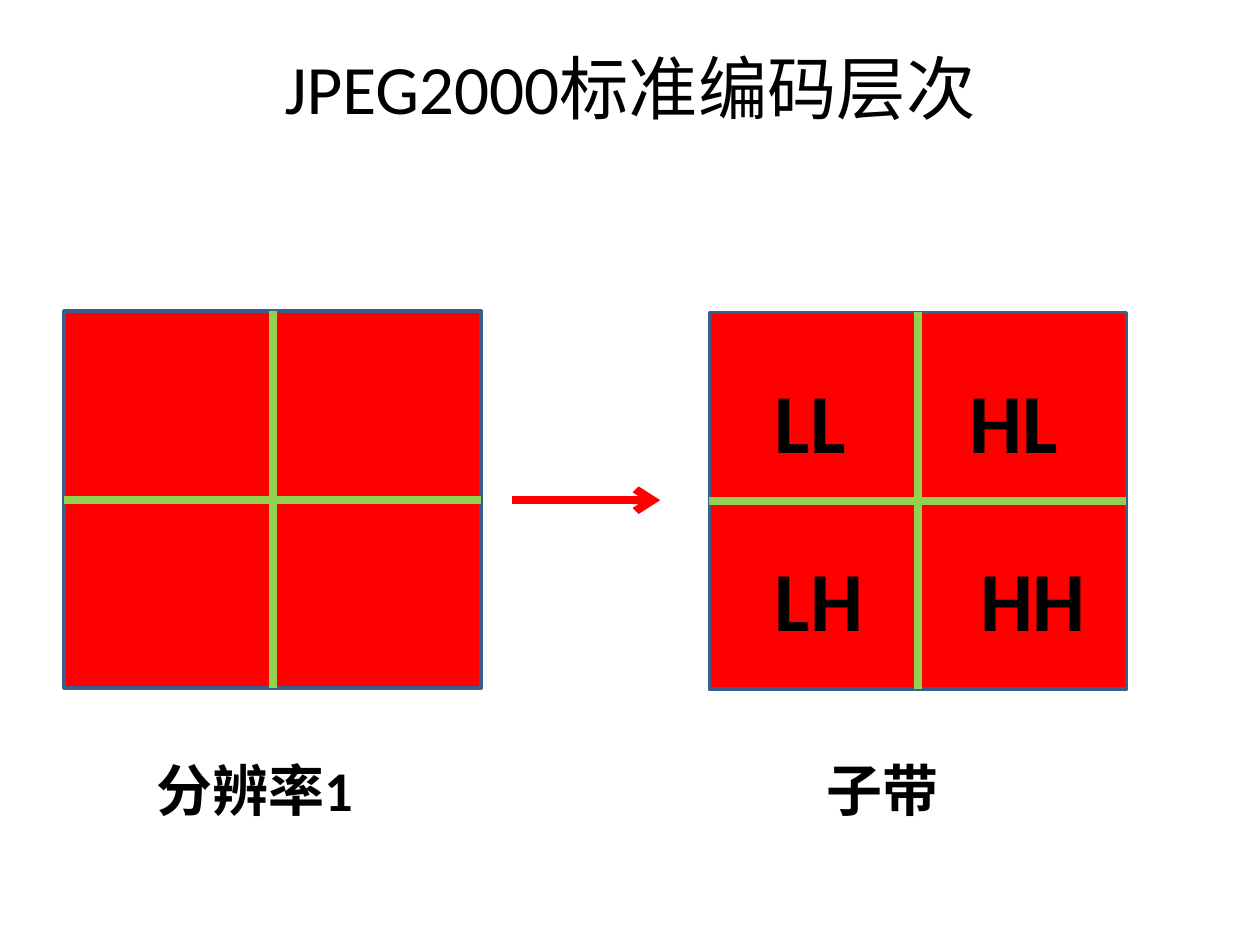
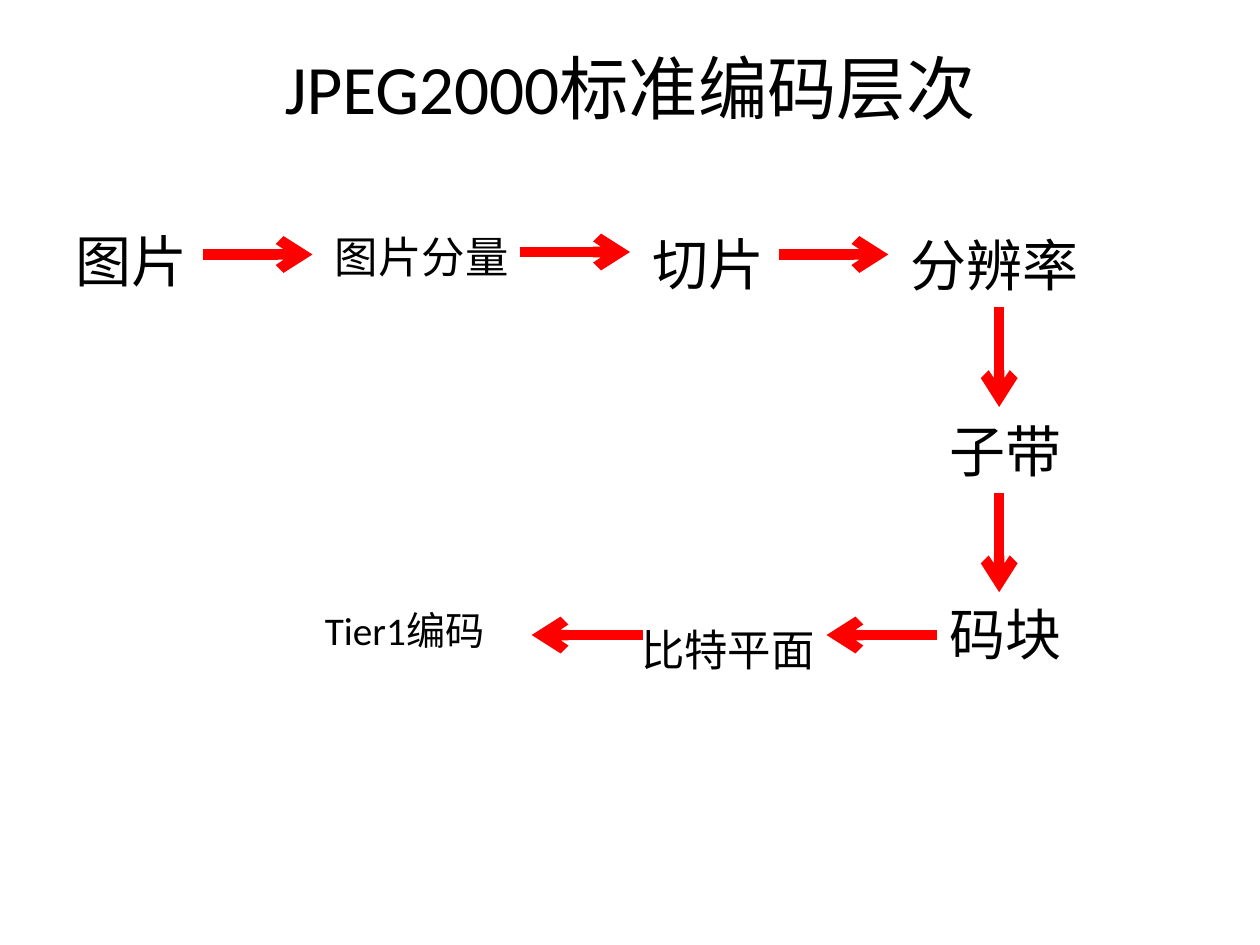
from lxml import etree
from pptx import Presentation
from pptx.dml.color import RGBColor
from pptx.enum.shapes import MSO_CONNECTOR, MSO_SHAPE
from pptx.enum.text import MSO_ANCHOR, PP_ALIGN
from pptx.oxml.ns import qn
from pptx.util import Inches, Pt

STRAIGHT = MSO_CONNECTOR.STRAIGHT
RECT = MSO_SHAPE.RECTANGLE
MIDDLE = MSO_ANCHOR.MIDDLE
CENTER = PP_ALIGN.CENTER
RED, GREEN, BLUE, BLACK = (
    RGBColor.from_string(c) for c in ("FF0000", "92D050", "3A5F8C", "000000"))
TITLE = "JPEG2000标准编码层次"


def add_line(slide, ends, color, width, arrow=False):
    line = slide.shapes.add_connector(STRAIGHT, *(Inches(v) for v in ends))
    line.line.color.rgb = color
    line.line.width = Pt(width)
    if arrow:
        etree.SubElement(line.line._get_or_add_ln(), qn("a:tailEnd"), type="arrow")
    etree.SubElement(line._element.spPr, qn("a:effectLst"))
    return line


def write(shape, area, text, size, bold=False):
    """Place a shape and fill it with one line of text."""
    for name, value in zip(("left", "top", "width", "height"), area):
        setattr(shape, name, Inches(value))
    shape.text_frame.word_wrap = True
    shape.text_frame.text = text
    font = shape.text_frame.paragraphs[0].font
    style = {"name": "Calibri", "size": Pt(size), "bold": bold}
    for name, value in style.items():
        setattr(font, name, value)
    font.color.rgb = BLACK


prs = Presentation()
prs.slide_width, prs.slide_height = Inches(10), Inches(7.5)
slides = []
for _ in range(2):
    slide = prs.slides.add_slide(prs.slide_layouts[5])
    title = slide.shapes.title
    write(title, (0.5, 0.3, 9, 0.77), TITLE, 39.6)
    title.text_frame.vertical_anchor = MIDDLE
    title.text_frame.paragraphs[0].alignment = CENTER
    slides.append(slide)
bands, flow = slides

# Resolution level split into four sub-bands
wide, high = 3.31, 2.99
for left, top in ((0.51, 2.47), (5.63, 2.48)):
    square = bands.shapes.add_shape(
        RECT, Inches(left), Inches(top), Inches(wide), Inches(high))
    square.shadow.inherit = False
    square.fill.solid()
    square.fill.fore_color.rgb = RED
    square.line.color.rgb = BLUE
    square.line.width = Pt(2)
    for start, end in ((1, 3), (0, 2)):
        split = add_line(bands, (left, top, left + wide, top), GREEN, 4.5)
        split.begin_connect(square, start)
        split.end_connect(square, end)
add_line(bands, (4.06, 3.97, 5.24, 3.97), RED, 4.5, arrow=True)

labels = [
    ("分辨率1", 1.14, 5.95, 2.05, 0.64, 32),
    ("子带", 6.46, 5.95, 2.05, 0.64, 32),
    ("LL", 6.05, 2.88, 0.83, 0.91, 48),
    ("HL", 7.6, 2.88, 1.1, 0.91, 48),
    ("LH", 6.05, 4.3, 1.08, 0.91, 48),
    ("HH", 7.68, 4.3, 1.18, 0.91, 48),
]
for text, *area, size in labels:
    write(bands.shapes.add_textbox(0, 0, 0, 0), area, text, size, bold=True)

# Coding steps, from the image to the Tier1 coder
steps = [
    ("图片", 0.5, 1.75, 1.19, 32),
    ("图片分量", 2.56, 1.78, 1.65, 24.8),
    ("切片", 5.08, 1.77, 1.65, 32),
    ("分辨率", 7.13, 1.78, 1.65, 32),
    ("子带", 7.44, 3.26, 1.65, 32),
    ("码块", 7.44, 4.71, 1.65, 32),
    ("比特平面", 4.99, 4.9, 1.65, 24.8),
    ("Tier1编码", 2.48, 4.76, 1.57, 22.4),
]
for text, left, top, width, size in steps:
    write(flow.shapes.add_textbox(0, 0, 0, 0), (left, top, width, 0.66), text, size)

right, down, back = (0.87, 0), (0, 0.79), (-0.88, 0)
arrows = [
    (1.61, 2.02, right), (4.13, 2, right), (6.18, 2.02, right),
    (7.93, 2.44, down), (7.93, 3.91, down),
    (7.44, 5.04, back), (5.1, 5.04, back),
]
for x, y, (dx, dy) in arrows:
    add_line(flow, (x, y, x + dx, y + dy), RED, 6, arrow=True)

prs.save("out.pptx")
